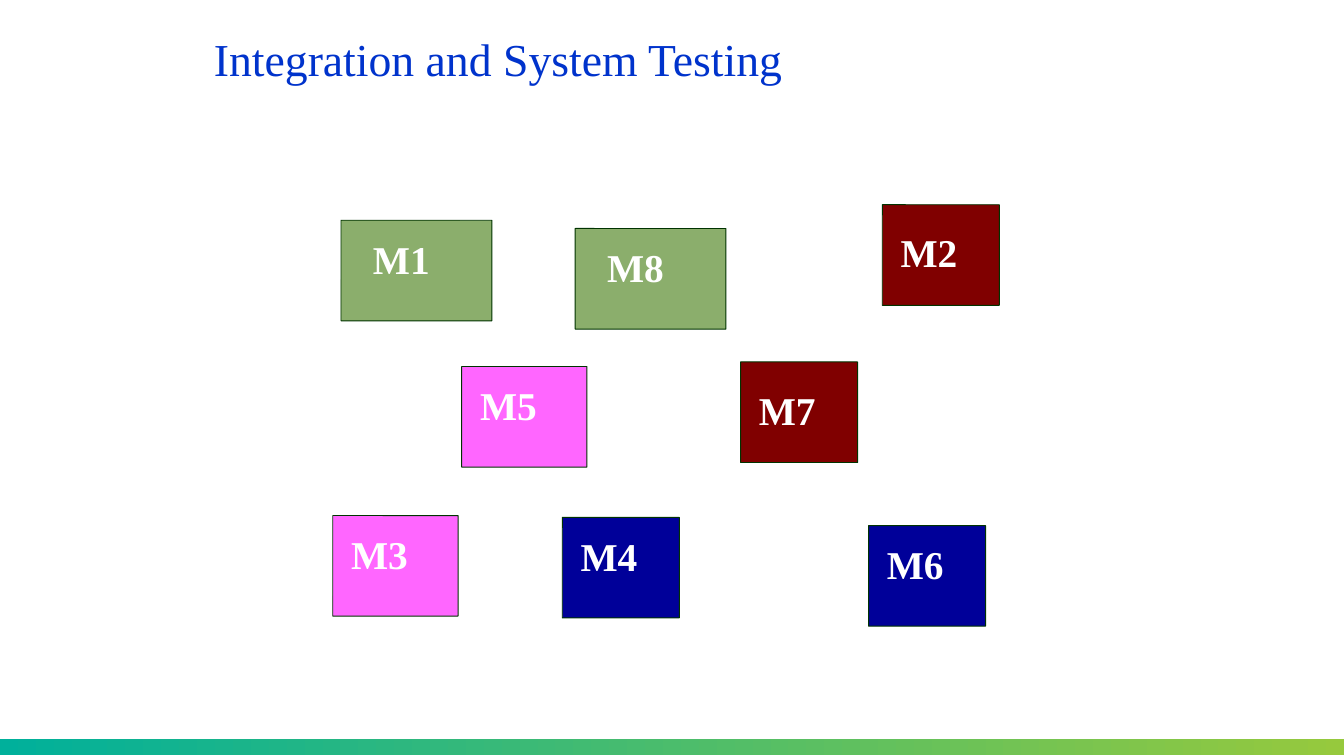
from dataclasses import dataclass

from pptx import Presentation
from pptx import util as u
from pptx.dml.color import RGBColor
from pptx.enum import shapes, text

FONT = "Times New Roman"
BOX_H = 1.1
LABEL_H = 0.62


@dataclass(frozen=True)
class Style:
    width: float
    fill: str
    inset: float
    drop: float
    span: float = 0.92


@dataclass(frozen=True)
class Module:
    name: str
    left: float
    top: float
    style: Style


GREEN = Style(1.65, "8BAE6C", 0.33, 0.18, 1.1)
NAVY = Style(1.28, "000099", 0.18, 0.18)
PINK = Style(1.37, "FF66FF", 0.18, 0.18)
MAROON = Style(1.28, "800000", 0.18, 0.28)

MODULES = [
    Module("M1", 3.73, 2.41, GREEN),
    Module("M6", 9.5, 5.75, NAVY),
    Module("M3", 3.64, 5.64, PINK),
    Module("M2", 9.65, 2.24, MAROON),
    Module("M8", 6.29, 2.5, GREEN),
    Module("M4", 6.15, 5.66, NAVY),
    Module("M5", 5.05, 4.01, PINK),
    Module("M7", 8.1, 3.96, MAROON),
]


def color(code: str) -> RGBColor:
    return RGBColor.from_string(code)


def place(*sizes: float) -> list[int]:
    return [u.Inches(size) for size in sizes]


def assign(item, values: dict) -> None:
    for key, value in values.items():
        setattr(item, key, value)


def write(shape, words: str, size: float, ink: str, bold: bool,
          anchor, spacing: float, before: float) -> None:
    frame = shape.text_frame
    frame.text = words
    assign(frame, {
        "word_wrap": True,
        "auto_size": text.MSO_AUTO_SIZE.NONE,
        "vertical_anchor": anchor,
        "margin_left": u.Inches(0.02),
        "margin_right": u.Inches(0.02),
        "margin_top": u.Inches(0.06),
        "margin_bottom": u.Inches(0.06),
    })
    para = frame.paragraphs[0]
    assign(para, {
        "alignment": text.PP_ALIGN.LEFT,
        "line_spacing": spacing,
        "space_before": u.Pt(before),
    })
    font = para.runs[0].font
    assign(font, {"name": FONT, "size": u.Pt(size), "bold": bold})
    font.color.rgb = color(ink)


def draw_bar(slide) -> None:
    bar = slide.shapes.add_shape(
        shapes.MSO_SHAPE.RECTANGLE, *place(0, 8.08, 14.7, 0.18))
    bar.shadow.inherit = False
    bar.line.fill.background()
    bar.fill.gradient()
    bar.fill.gradient_angle = 0
    for stop, code in zip(bar.fill.gradient_stops, ("00B09B", "96C93D")):
        stop.color.rgb = color(code)


def draw_title(slide) -> None:
    title = slide.shapes.title
    left, top, width, height = place(2.32, 0.2, 9.73, 0.95)
    assign(title, {"left": left, "top": top, "width": width, "height": height})
    write(title, "Integration and System Testing", 36, "0033CC", False,
          text.MSO_ANCHOR.MIDDLE, 0.9, 8)


def draw_module(slide, mod: Module) -> None:
    style = mod.style
    group = slide.shapes.add_group_shape()
    box = group.shapes.add_shape(
        shapes.MSO_SHAPE.ROUNDED_RECTANGLE,
        *place(mod.left, mod.top, style.width, BOX_H))
    box.adjustments[0] = 0.002
    box.shadow.inherit = False
    box.fill.solid()
    box.fill.fore_color.rgb = color(style.fill)
    box.line.color.rgb = color("003300")
    box.line.width = u.Pt(0.75)
    label = group.shapes.add_textbox(
        *place(mod.left + style.inset, mod.top + style.drop,
               style.span, LABEL_H))
    write(label, mod.name, 31, "FFFFFF", True,
          text.MSO_ANCHOR.TOP, 0.85, 17.6)


def main() -> None:
    deck = Presentation()
    deck.slide_width, deck.slide_height = place(14.7, 8.27)
    slide = deck.slides.add_slide(deck.slide_layouts[5])

    # Footer bar and heading
    draw_bar(slide)
    draw_title(slide)

    # Scattered modules, coloured by kind
    for mod in MODULES:
        draw_module(slide, mod)

    deck.save("out.pptx")


if __name__ == "__main__":
    main()
